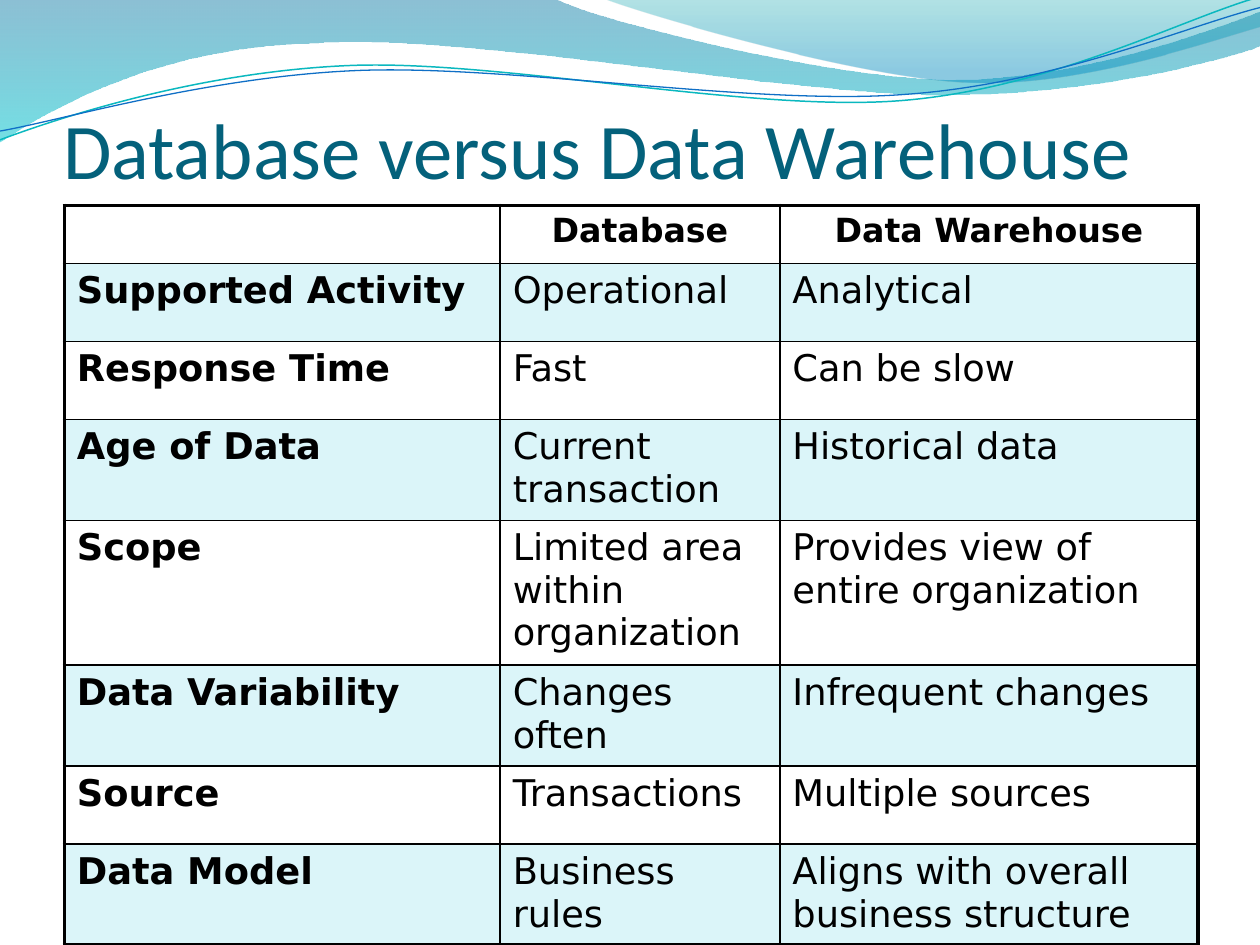
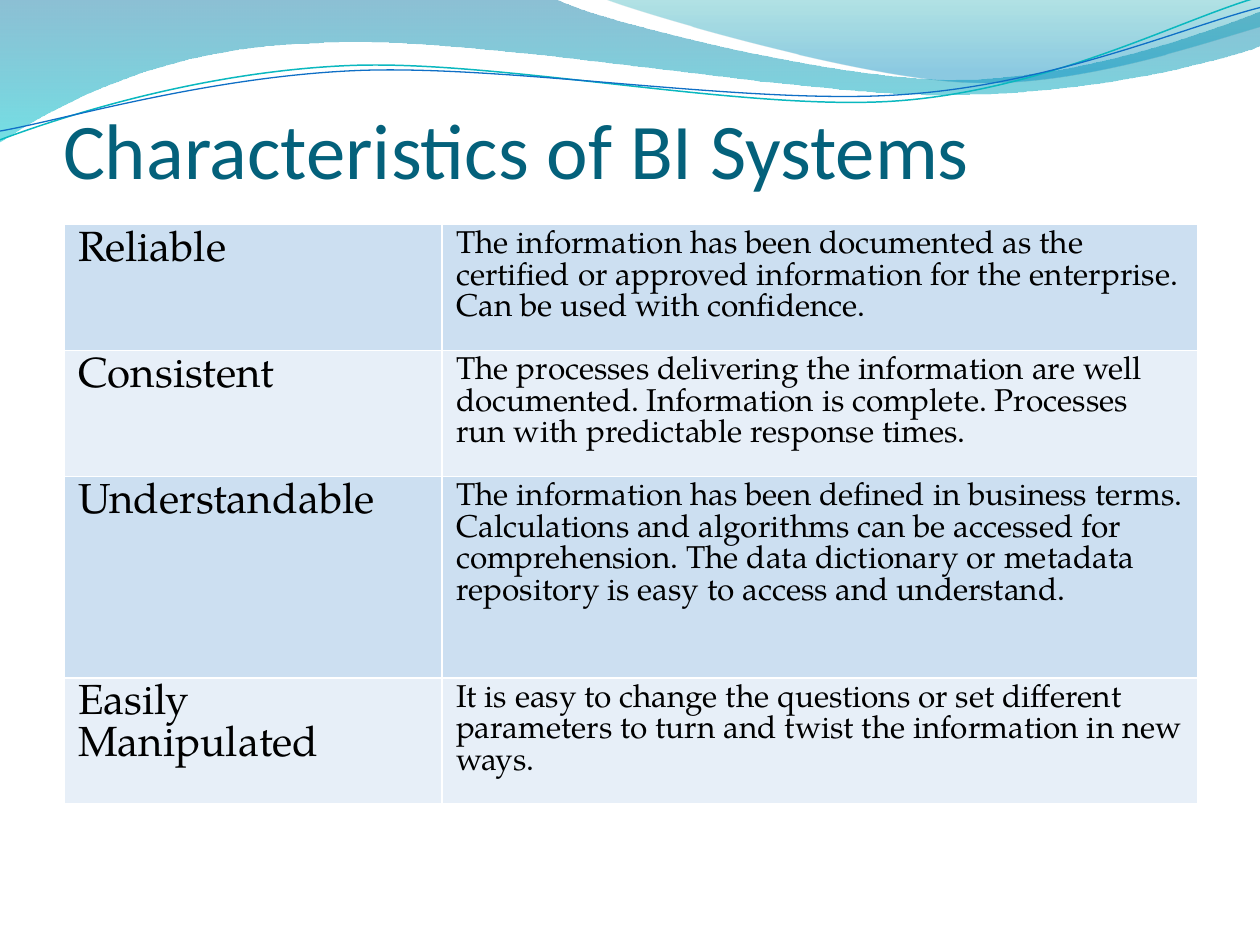
from math import cos, radians, sin

from lxml import etree
from pptx import Presentation
from pptx.dml.color import RGBColor
from pptx.enum.text import MSO_ANCHOR, MSO_AUTO_SIZE, PP_ALIGN
from pptx.oxml.ns import qn
from pptx.util import Inches, Pt

LEFT, CENTER = PP_ALIGN.LEFT, PP_ALIGN.CENTER
BOTTOM, NO_AUTOFIT = MSO_ANCHOR.BOTTOM, MSO_AUTO_SIZE.NONE
TITLE_ONLY_LAYOUT = 5

BLACK = RGBColor(0x00, 0x00, 0x00)
WHITE = RGBColor(0xFF, 0xFF, 0xFF)
TITLE_TEAL = RGBColor(0x04, 0x61, 0x7B)
BAND_AQUA = RGBColor(0xDB, 0xF5, 0xF9)
BAND_BLUE = RGBColor(0xCC, 0xDF, 0xF1)
BAND_PALE = RGBColor(0xE7, 0xEF, 0xF8)
WAVE_NAVY = RGBColor(0x00, 0x74, 0xA1)
WAVE_CYAN = RGBColor(0x00, 0xC6, 0xCF)
WAVE_GREEN = RGBColor(0x00, 0xA1, 0xA9)
WAVE_BLUE = RGBColor(0x00, 0x8B, 0xBF)
LINE_TEAL = RGBColor(0x0A, 0xB8, 0xBF)
LINE_BLUE = RGBColor(0x0F, 0x6F, 0xC6)

TITLE_BOX = (0.5, 0.77, 9, 0.78)
TITLE_FONT = {"name": "Calibri", "size": Pt(45), "bold": False}

WAVE_TILT = 2.7
WAVE_CENTER = (4.99, 0.58)
WAVE_BANDS = [
    ([(0, 0), (4.4, -0.01),
      (4.76, 0.17, 6.64, 0.63, 7.58, 0.63), (8.53, 0.63, 9.58, 0.26, 10, 0.09),
      (10.01, 0.36),
      (9.83, 0.44, 8.7, 0.76, 7.46, 0.75), (6.22, 0.75, 3.82, 0.28, 2.57, 0.34),
      (1.29, 0.36, 0.46, 0.83, -0.01, 1.13), (0, 0)],
     [(0, WAVE_NAVY, 45), (1, WAVE_CYAN, 55)]),
    ([(4.79, -0.01),
      (5.09, 0.11, 6.82, 0.62, 7.69, 0.65), (8.56, 0.69, 9.61, 0.32, 10, 0.21),
      (10, 0), (4.79, -0.01)],
     [(0, WAVE_GREEN, 30), (0.8, WAVE_BLUE, 45)]),
]
WAVE_LINES = [
    ([(0, 1.11),
      (0.48, 0.93, 1.58, 0.57, 2.77, 0.52), (3.95, 0.47, 5.93, 0.89, 7.13, 0.8),
      (8.33, 0.71, 9.38, 0.15, 9.98, -0.02)],
     LINE_TEAL, 0.85),
    ([(0, 1.04),
      (0.47, 0.96, 1.64, 0.61, 2.83, 0.56), (4.03, 0.51, 5.97, 0.84, 7.17, 0.75),
      (8.36, 0.67, 9.41, 0.21, 10, 0.06)],
     LINE_BLUE, 0.75),
]

COMPARISON = {
    "rows": [
        ("", "Database", "Data Warehouse"),
        ("Supported Activity", "Operational", "Analytical"),
        ("Response Time", "Fast", "Can be slow"),
        ("Age of Data", "Current transaction", "Historical data"),
        ("Scope", "Limited area within organization",
         "Provides view of entire organization"),
        ("Data Variability", "Changes often", "Infrequent changes"),
        ("Source", "Transactions", "Multiple sources"),
        ("Data Model", "Business rules", "Aligns with overall business structure"),
    ],
    "origin": (0.51, 1.63),
    "widths": (3.46, 2.22, 3.32),
    "heights": (0.46, 0.62, 0.62, 0.8, 1.15, 0.8, 0.62, 0.8),
    "bands": (None, BAND_AQUA),
    "margin": 0.1,
    "space_before": 20,
    "border": (BLACK, 1, 2.25),
}
CHARACTERISTICS = {
    "rows": [
        ("Reliable",
         "The information has been documented as the certified or approved "
         "information for the enterprise. Can be used with confidence."),
        ("Consistent",
         "The processes delivering the information are well documented. "
         "Information is complete. Processes run with predictable response times."),
        ("Understandable",
         "The information has been defined in business terms. Calculations and "
         "algorithms can be accessed for comprehension. The data dictionary or "
         "metadata repository is easy to access and understand."),
        ("Easily Manipulated",
         "It is easy to change the questions or set different parameters to turn "
         "and twist the information in new ways."),
    ],
    "origin": (0.51, 1.78),
    "widths": (3, 6),
    "heights": (1, 1, 1.6, 1),
    "bands": (BAND_BLUE, BAND_PALE),
    "margin": 0.11,
    "space_before": 0,
    "border": (WHITE, 1, 1),
}


def set_attributes(target, values):
    """Set each named attribute of the target."""
    for name, value in values.items():
        setattr(target, name, value)


def box_values(left, top, width, height):
    """Return position and size attributes for a box in inches."""
    return {"left": Inches(left), "top": Inches(top),
            "width": Inches(width), "height": Inches(height)}


def turn(point, degrees):
    """Turn a point clockwise about the centre of the wave lines."""
    x, y = point[0] - WAVE_CENTER[0], point[1] - WAVE_CENTER[1]
    cosine, sine = cos(radians(degrees)), sin(radians(degrees))
    return (WAVE_CENTER[0] + x * cosine - y * sine,
            WAVE_CENTER[1] + x * sine + y * cosine)


def add_outline(slide, segments, close, tilt=0):
    """Add a freeform of straight segments and cubic curves."""
    points = [turn(segment[index:index + 2], tilt)
              for segment in segments for index in range(0, len(segment), 2)]
    vertices = [(Inches(x), Inches(y)) for x, y in points]
    builder = slide.shapes.build_freeform(*vertices[0])
    builder.add_line_segments(vertices[1:], close=close)
    shape = builder.convert_to_shape()
    steps = iter(list(shape.element.spPr.iter(qn("a:lnTo"))))
    for segment in segments[1:]:
        step = next(steps)
        if len(segment) == 6:
            curve = etree.Element(qn("a:cubicBezTo"))
            step.addprevious(curve)
            for corner in (step, next(steps), next(steps)):
                curve.append(corner[0])
                corner.getparent().remove(corner)
    shape.rotation = -tilt
    shape.shadow.inherit = False
    return shape


def add_wave_band(slide, segments, stops):
    """Add a translucent wave with a vertical gradient."""
    shape = add_outline(slide, segments, True)
    shape.fill.gradient()
    shape.fill.gradient_angle = 270
    for gradient_stop, (position, color, _) in zip(shape.fill.gradient_stops, stops):
        gradient_stop.position = position
        gradient_stop.color.rgb = color
    colors = shape.element.spPr.iter(qn("a:srgbClr"))
    for color_element, (_, _, opacity) in zip(colors, stops):
        etree.SubElement(color_element, qn("a:alpha"), val=str(opacity * 1000))
    shape.line.fill.background()
    return shape


def add_wave_line(slide, segments, color, width):
    """Add a thin curved line."""
    shape = add_outline(slide, segments, False, WAVE_TILT)
    shape.fill.background()
    shape.line.color.rgb = color
    shape.line.width = Pt(width)
    return shape


def add_master_waves(master, slide):
    """Draw the waves and move them behind the master's placeholders."""
    waves = [add_wave_band(slide, *band) for band in WAVE_BANDS]
    waves += [add_wave_line(slide, *line) for line in WAVE_LINES]
    tree = master.placeholders[0].element.getparent()
    for index, wave in enumerate(waves):
        wave.element.nvSpPr.cNvPr.set("id", str(100 + index))
        tree.insert(2 + index, wave.element)


def add_titled_slide(presentation, text):
    """Add a title-only slide and format its title."""
    slide = presentation.slides.add_slide(
        presentation.slide_layouts[TITLE_ONLY_LAYOUT])
    title = slide.shapes.title
    set_attributes(title, box_values(*TITLE_BOX))
    set_attributes(title.text_frame, {
        "text": text, "word_wrap": True, "auto_size": NO_AUTOFIT,
        "vertical_anchor": BOTTOM, "margin_left": 0, "margin_right": 0,
        "margin_top": Inches(0.05), "margin_bottom": 0})
    paragraph = title.text_frame.paragraphs[0]
    paragraph.alignment = LEFT
    set_attributes(paragraph.font, TITLE_FONT)
    paragraph.font.color.rgb = TITLE_TEAL
    return slide


def set_borders(cell, color, widths):
    """Draw the four cell borders, ordered left, right, top, bottom."""
    properties = cell._tc.get_or_add_tcPr()
    for index, (side, width) in enumerate(zip("LRTB", widths)):
        line = etree.Element(qn(f"a:ln{side}"), w=str(Pt(width)))
        fill = etree.SubElement(line, qn("a:solidFill"))
        etree.SubElement(fill, qn("a:srgbClr"), val=str(color))
        properties.insert(index, line)


def set_space_before(paragraph, percent):
    """Set the space before a paragraph as a share of its line height."""
    properties = paragraph._p.get_or_add_pPr()
    spacing = etree.Element(qn("a:spcBef"))
    etree.SubElement(spacing, qn("a:spcPct"), val=str(percent * 1000))
    properties.insert(0, spacing)


def format_cell(cell, text, font, alignment, band, content):
    """Fill a cell with its text and background."""
    margin = Inches(content["margin"])
    set_attributes(cell, {
        "text": text, "margin_left": margin, "margin_right": margin,
        "margin_top": Inches(0.05), "margin_bottom": Inches(0.05)})
    paragraph = cell.text_frame.paragraphs[0]
    paragraph.alignment = alignment
    set_attributes(paragraph.font, font)
    paragraph.font.color.rgb = BLACK
    if content["space_before"]:
        set_space_before(paragraph, content["space_before"])
    if band is None:
        cell.fill.background()
    else:
        cell.fill.solid()
        cell.fill.fore_color.rgb = band


def add_grid(slide, content, text_style):
    """Add a banded table whose outer and inner borders may differ."""
    rows, widths, heights = content["rows"], content["widths"], content["heights"]
    box = box_values(*content["origin"], sum(widths), sum(heights))
    table = slide.shapes.add_table(len(rows), len(widths), **box).table
    set_attributes(table, {"first_row": False, "horz_banding": False})
    for column, width in zip(table.columns, widths):
        column.width = Inches(width)
    color, inner, outer = content["border"]
    for row, texts in enumerate(rows):
        table.rows[row].height = Inches(heights[row])
        for column, text in enumerate(texts):
            cell = table.cell(row, column)
            font, alignment = text_style(row, column)
            format_cell(cell, text, font, alignment,
                        content["bands"][row % 2], content)
            edges = (column == 0, column == len(widths) - 1,
                     row == 0, row == len(rows) - 1)
            set_borders(cell, color, [outer if edge else inner for edge in edges])


def comparison_style(row, column):
    """Return font and alignment for a comparison cell."""
    header = row == 0
    font = {"name": "DejaVu Sans", "size": Pt(19 if header else 21),
            "bold": header or column == 0}
    return font, CENTER if header else LEFT


def characteristics_style(row, column):
    """Return font and alignment for a characteristics cell."""
    font = {"name": "TeX Gyre Pagella", "size": Pt(18 if column else 24),
            "bold": False}
    return font, LEFT


def main():
    """Build and save the presentation."""
    presentation = Presentation()
    presentation.slide_width, presentation.slide_height = Inches(10), Inches(7.5)
    comparison = add_titled_slide(presentation, "Database versus Data Warehouse")
    add_master_waves(presentation.slide_master, comparison)
    add_grid(comparison, COMPARISON, comparison_style)
    characteristics = add_titled_slide(presentation, "Characteristics of BI Systems")
    add_grid(characteristics, CHARACTERISTICS, characteristics_style)
    presentation.save("out.pptx")


if __name__ == "__main__":
    main()
